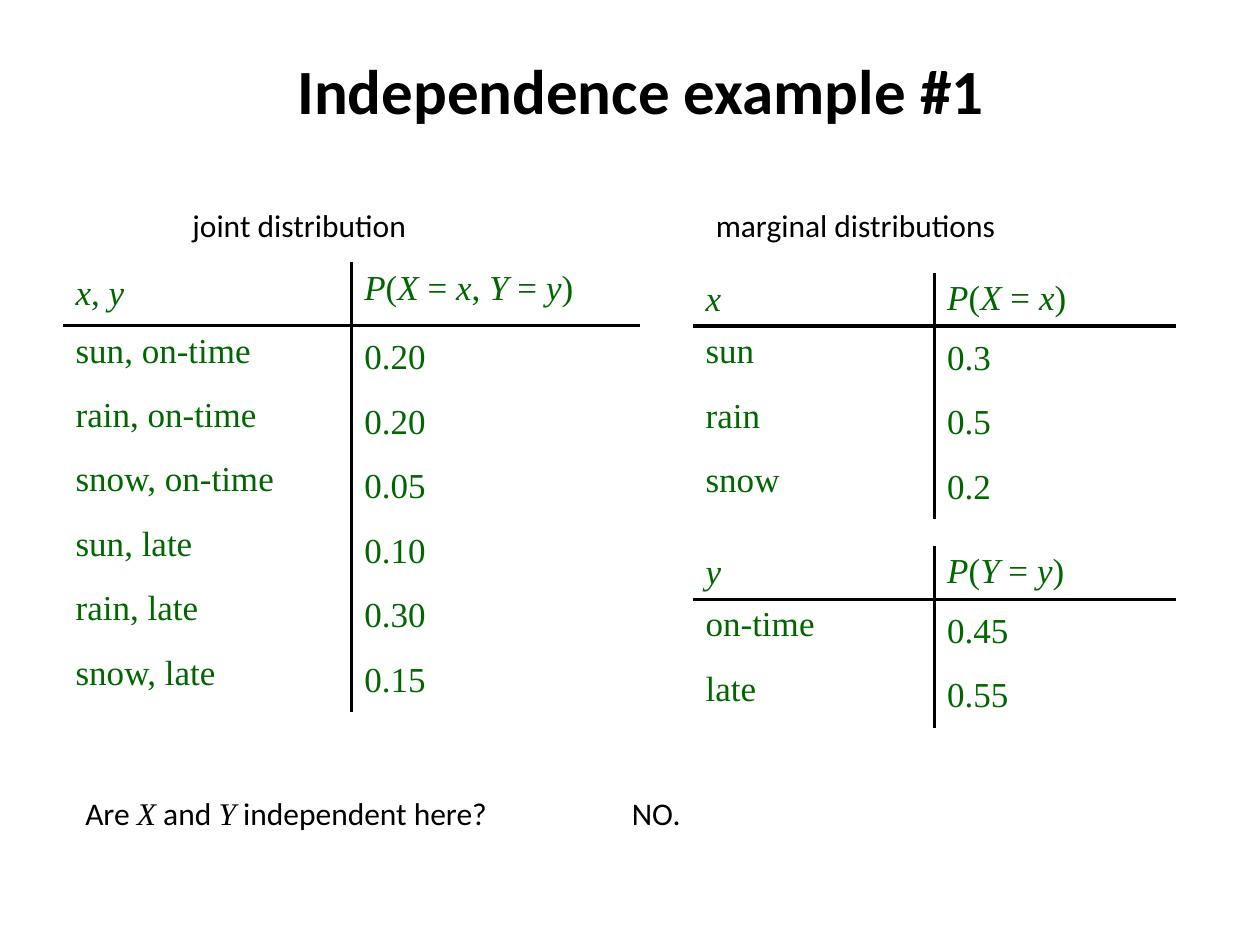
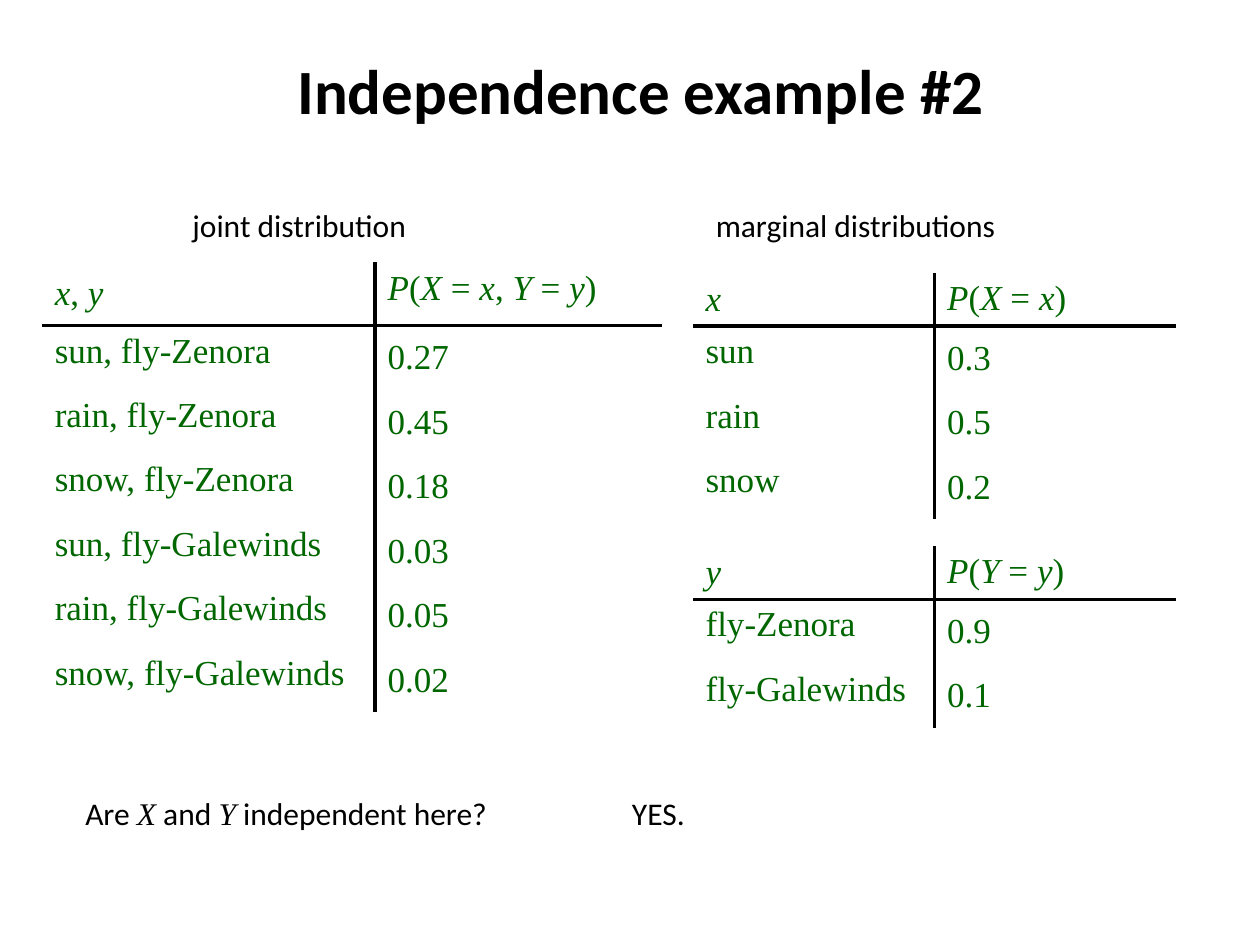
from dataclasses import dataclass
from lxml import etree
from pptx import Presentation
from pptx import util as u
from pptx.dml import color
from pptx.enum import text as t
from pptx.oxml import ns


@dataclass(frozen=True)
class Theme:
    ink: str = "000000"
    green: str = "006600"
    sans: str = "Calibri"
    serif: str = "Times New Roman"
    title: float = 36
    label: float = 18
    cell: float = 20
    rule: float = 2.25


@dataclass(frozen=True)
class Label:
    """Text box; variables stand between bars."""
    text: str
    left: float
    top: float
    width: float


@dataclass(frozen=True)
class Grid:
    """Distribution table, lengths in centimetres."""
    left: float
    top: float
    cols: tuple[float, float]
    head: float
    rows: list[tuple[str, str]]


@dataclass(frozen=True)
class Case:
    title: str
    left: float
    cols: tuple[float, float]
    joint: list[str]
    modes: list[tuple[str, str]]
    answer: str
    width: float


THEME = Theme()
ROW = 1.3
WEATHER = [("sun", "0.3"), ("rain", "0.5"), ("snow", "0.2")]
SIDE, HALF, HEAD = 13.97, (4.87, 4.87), 1.07

CASES = [
    Case("Independence example #1", 1.27, (5.82, 5.82),
         ["0.20", "0.20", "0.05", "0.10", "0.30", "0.15"],
         [("on-time", "0.45"), ("late", "0.55")], "NO.", 1.96),
    Case("Independence example #2", 0.85, (6.71, 5.79),
         ["0.27", "0.45", "0.18", "0.03", "0.05", "0.02"],
         [("fly-Zenora", "0.9"), ("fly-Galewinds", "0.1")], "YES.", 2.31),
]


def style(run, size: float, font: str, ink: str) -> None:
    run.font.size = u.Pt(size)
    run.font.name = font
    run.font.color.rgb = color.RGBColor.from_string(ink)


def write(para, text: str, size: float, font: str, ink: str) -> None:
    """Set the parts between bars as italic serif variables."""
    for i, part in enumerate(text.split("|")):
        if part:
            run = para.add_run()
            run.text = part
            style(run, size, THEME.serif if i % 2 else font, ink)
            run.font.italic = bool(i % 2)


def add_label(slide, label: Label) -> None:
    box = slide.shapes.add_textbox(u.Cm(label.left), u.Cm(label.top),
                                   u.Cm(label.width), u.Cm(1.2))
    frame = box.text_frame
    frame.word_wrap = False
    frame.auto_size = t.MSO_AUTO_SIZE.SHAPE_TO_FIT_TEXT
    write(frame.paragraphs[0], label.text, THEME.label, THEME.sans, THEME.ink)


def edge(cell, sides: str) -> None:
    """Rule the named sides of a cell and clear the others."""
    props = cell._tc.get_or_add_tcPr()
    for side in "LRTB":
        line = etree.SubElement(props, ns.qn(f"a:ln{side}"))
        if side in sides:
            line.set("w", str(u.Pt(THEME.rule)))
            fill = etree.SubElement(line, ns.qn("a:solidFill"))
            etree.SubElement(fill, ns.qn("a:srgbClr"), val=THEME.ink)
        else:
            etree.SubElement(line, ns.qn("a:noFill"))


def add_grid(slide, grid: Grid) -> None:
    count = len(grid.rows)
    table = slide.shapes.add_table(
        count, 2, u.Cm(grid.left), u.Cm(grid.top), u.Cm(sum(grid.cols)),
        u.Cm(grid.head + ROW * (count - 1))).table
    table.first_row = table.horz_banding = False
    for col, width in zip(table.columns, grid.cols):
        col.width = u.Cm(width)
    for r, row in enumerate(grid.rows):
        table.rows[r].height = u.Cm(ROW if r else grid.head)
        for c, text in enumerate(row):
            cell = table.cell(r, c)
            # The header centres its first cell, the body its second
            mid = c == (1 if r else 0)
            cell.vertical_anchor = t.MSO_ANCHOR.MIDDLE if mid else t.MSO_ANCHOR.TOP
            edge(cell, "RL"[c] + {0: "B", 1: "T"}.get(r, ""))
            cell.fill.background()
            write(cell.text_frame.paragraphs[0], text, THEME.cell,
                  THEME.serif, THEME.green)


def add_title(slide, text: str) -> None:
    title = slide.shapes.title
    title.left, title.top = u.Cm(2.12), u.Cm(0.21)
    title.width, title.height = u.Cm(21.59), u.Cm(3.18)
    frame = title.text_frame
    frame.text = text
    frame.auto_size = t.MSO_AUTO_SIZE.NONE
    frame.vertical_anchor = t.MSO_ANCHOR.MIDDLE
    para = frame.paragraphs[0]
    para.alignment = t.PP_ALIGN.CENTER
    style(para.runs[0], THEME.title, THEME.sans, THEME.ink)
    para.runs[0].font.bold = True


def add_case(deck, case: Case) -> None:
    slide = deck.slides.add_slide(deck.slide_layouts[5])
    add_title(slide, case.title)

    # Joint and marginal distributions
    pairs = [f"{sky}, {mode}" for mode, _ in case.modes for sky, _ in WEATHER]
    for grid in (
        Grid(case.left, 5.29, case.cols, 1.27,
             [("|x|, |y|", "|P|(|X| = |x|, |Y| = |y|)"), *zip(pairs, case.joint)]),
        Grid(SIDE, 5.5, HALF, HEAD, [("|x|", "|P|(|X| = |x|)"), *WEATHER]),
        Grid(SIDE, 11.01, HALF, HEAD, [("|y|", "|P|(|Y| = |y|)"), *case.modes]),
    ):
        add_grid(slide, grid)

    # Captions, question and answer
    for label in (
        Label("joint distribution", 3.63, 4.02, 6.17),
        Label("marginal distributions", 14.18, 4.02, 7.98),
        Label("Are |X| and |Y| independent here?", 1.47, 15.88, 10.49),
        Label(case.answer, 12.49, 15.88, case.width),
    ):
        add_label(slide, label)


def main() -> None:
    deck = Presentation()
    deck.slide_width, deck.slide_height = u.Cm(25.4), u.Cm(19.05)
    for case in CASES:
        add_case(deck, case)
    deck.save("out.pptx")


if __name__ == "__main__":
    main()
